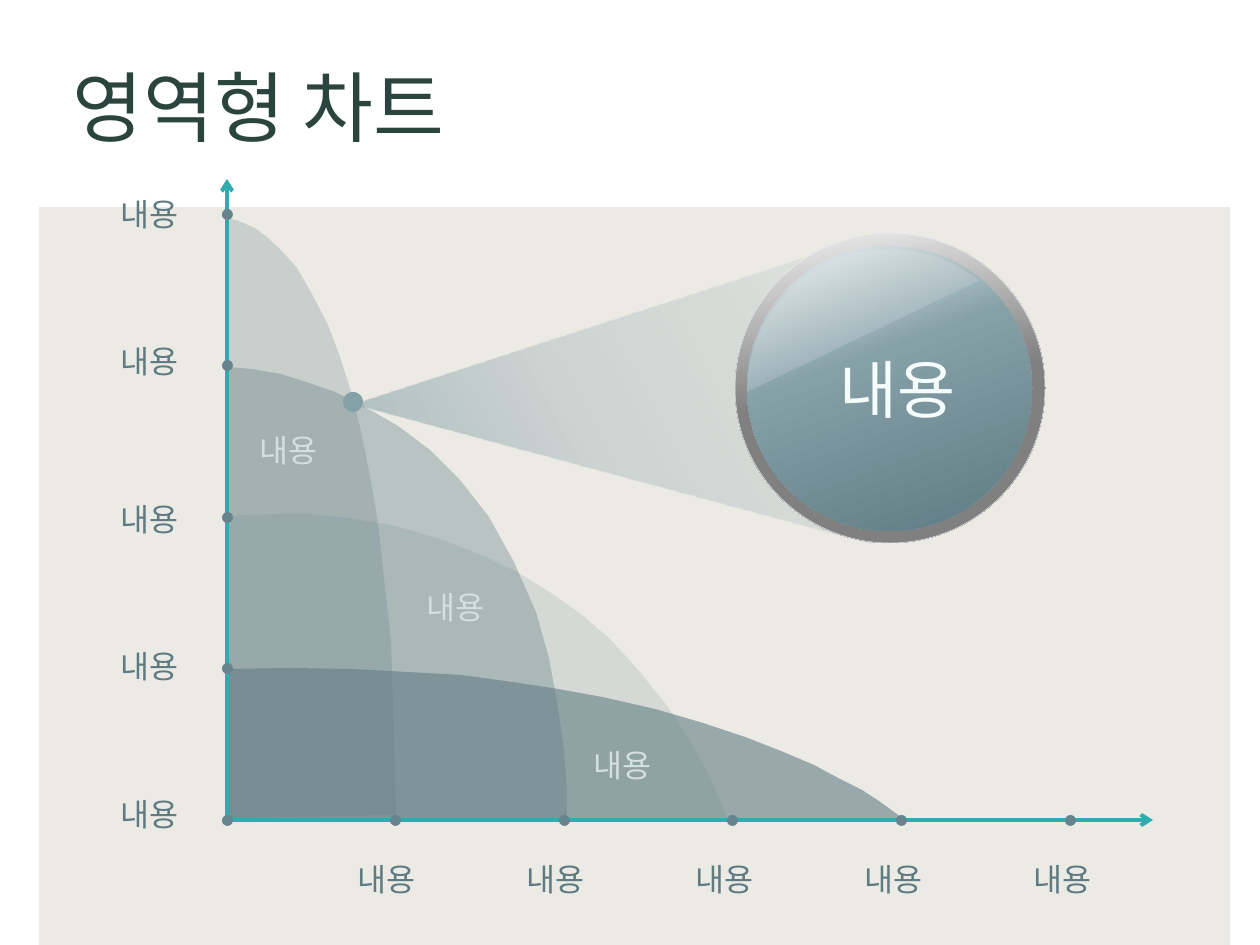
import math

from pptx import Presentation
from pptx import oxml, util as u
from pptx.dml.color import RGBColor
from pptx.enum import shapes, text
from pptx.oxml import ns

PX = 914400 / 126
FONT = "Arial"
WORD = "내용"
PANEL = RGBColor(0xE5, 0xE3, 0xDC)
TITLE = RGBColor(0x2C, 0x44, 0x3E)
SLATE = RGBColor(0x5E, 0x7B, 0x82)
DOT = RGBColor(0x65, 0x85, 0x8E)
TEAL = RGBColor(0x2F, 0xAC, 0xAF)
PALE = RGBColor(0xD5, 0xDF, 0xE1)
MIST = RGBColor(0x85, 0xA0, 0xA7)
SILVER = RGBColor(0xF2, 0xF2, 0xF2)
GRAY = RGBColor(0x80, 0x80, 0x80)
GLASS_TOP = RGBColor(0xF3, 0xF6, 0xF6)
GLASS_BASE = RGBColor(0x5E, 0x7B, 0x83)
GLARE = RGBColor(0xE7, 0xEC, 0xED)
LENS_TEXT = RGBColor(0xF5, 0xFC, 0xFC)


def paint(shape, stops, angle=0):
    shape.shadow.inherit = False
    shape.line.fill.background()
    colors = [
        f'<a:srgbClr val="{color}"><a:alpha val="{opacity * 1000}"/></a:srgbClr>'
        for _, color, opacity in stops
    ]
    if len(stops) == 1:
        xml = f"<a:solidFill {ns.nsdecls('a')}>{colors[0]}</a:solidFill>"
    else:
        steps = "".join(
            f'<a:gs pos="{stop[0] * 1000}">{color}</a:gs>'
            for stop, color in zip(stops, colors)
        )
        xml = (
            f'<a:gradFill {ns.nsdecls("a")} rotWithShape="1"><a:gsLst>{steps}</a:gsLst>'
            f'<a:lin ang="{angle * 60000}" scaled="0"/></a:gradFill>'
        )
    shape._element.spPr.insert(2, oxml.parse_xml(xml))


def label(left, top, width, height, size, color):
    box = slide.shapes.add_textbox(*[int(v * PX) for v in (left, top, width, height)])
    frame = box.text_frame
    frame.word_wrap = False
    frame.auto_size = text.MSO_AUTO_SIZE.SHAPE_TO_FIT_TEXT
    frame.vertical_anchor = text.MSO_ANCHOR.MIDDLE
    paragraph = frame.paragraphs[0]
    paragraph.text = WORD
    paragraph.font.size = u.Pt(size)
    paragraph.font.name = FONT
    paragraph.font.color.rgb = color


prs = Presentation()
prs.slide_width = int(1260 * PX)
prs.slide_height = int(945 * PX)
slide = prs.slides.add_slide(prs.slide_layouts[5])

title = slide.shapes.title
title.left, title.top, title.width, title.height = [int(v * PX) for v in (60, 42, 1134, 127)]
title.text_frame.text = "영역형 차트"
title.text_frame.vertical_anchor = text.MSO_ANCHOR.MIDDLE
heading = title.text_frame.paragraphs[0]
heading.alignment = text.PP_ALIGN.LEFT
heading.font.size = u.Pt(44)
heading.font.name = FONT
heading.font.color.rgb = TITLE

panel = slide.shapes.add_shape(
    shapes.MSO_SHAPE.RECTANGLE, *[int(v * PX) for v in (39, 207, 1191, 738)]
)
paint(panel, [(0, PANEL, 75)])

areas = [
    (15, [(229, 819), (227, 517), (241, 515), (277, 514), (310, 514), (348, 518),
          (391, 525), (437, 538), (484, 556), (517, 572), (548, 591), (581, 614),
          (611, 640), (640, 672), (668, 707), (694, 747), (712, 782), (728, 819)]),
    (35, [(227, 822), (228, 367), (251, 369), (281, 374), (306, 382), (335, 392),
          (365, 407), (398, 426), (430, 450), (460, 480), (489, 517), (514, 562),
          (536, 612), (549, 658), (558, 707), (564, 751), (567, 790), (567, 822)]),
    (24, [(227, 818), (228, 218), (239, 221), (255, 228), (267, 237), (282, 251),
          (297, 268), (312, 294), (328, 325), (339, 354), (350, 388), (360, 427),
          (369, 471), (378, 522), (384, 578), (391, 641), (394, 736), (396, 815)]),
    (58, [(227, 820), (227, 669), (290, 668), (350, 669), (407, 672), (461, 675),
          (512, 682), (558, 689), (602, 697), (655, 709), (703, 723), (745, 737),
          (781, 751), (814, 765), (840, 779), (862, 790), (879, 801), (905, 820)]),
]
for opacity, outline in areas:
    builder = slide.shapes.build_freeform(*outline[0], scale=PX)
    builder.add_line_segments(outline[1:])
    paint(builder.convert_to_shape(), [(0, SLATE, opacity)])

for ends in [(227, 179, 227, 821), (1153, 820, 229, 820)]:
    axis = slide.shapes.add_connector(
        shapes.MSO_CONNECTOR.STRAIGHT, *[int(v * PX) for v in ends]
    )
    axis.line.color.rgb = TEAL
    axis.line.width = u.Pt(2.25)
    axis.line._get_or_add_ln().append(
        oxml.parse_xml(f'<a:headEnd {ns.nsdecls("a")} type="arrow"/>')
    )
    axis._element.spPr.append(oxml.parse_xml(f'<a:effectLst {ns.nsdecls("a")}/>'))

ticks = [(222, 209 + i * 606 // 4) for i in range(5)]
ticks += [(222 + i * 843 // 5, 815) for i in range(1, 6)]
for left, top in ticks:
    tick = slide.shapes.add_shape(
        shapes.MSO_SHAPE.OVAL, *[int(v * PX) for v in (left, top, 11, 11)]
    )
    paint(tick, [(0, DOT, 100)])

for i in range(3):
    label(247 + i * 167, 425 + i * 315 // 2, 88, 50, 18, PALE)
for top in (189, 336, 494, 641, 789):
    label(108, top, 88, 50, 18, SLATE)
for i in range(5):
    label(345 + i * 169, 854, 88, 50, 18, SLATE)

beam_turn = 241.9
center_x, center_y = 675, 440
cos, sin = math.cos(math.radians(beam_turn)), math.sin(math.radians(beam_turn))
beam_points = []
for x, y in [(871, 543), (353, 403), (869, 236)]:
    dx, dy = x - center_x, y - center_y
    beam_points.append(
        (round(center_x + dx * cos + dy * sin), round(center_y - dx * sin + dy * cos))
    )
builder = slide.shapes.build_freeform(*beam_points[0], scale=PX)
builder.add_line_segments(beam_points[1:])
beam = builder.convert_to_shape()
beam.rotation = beam_turn
paint(beam, [(0, MIST, 75), (40, MIST, 30), (100, MIST, 0)], 90)

lens_parts = [
    (shapes.MSO_SHAPE.OVAL, (735, 233, 310, 310),
     [(0, SILVER, 100), (50, GRAY, 100), (100, GRAY, 100)], 80),
    (shapes.MSO_SHAPE.OVAL, (747, 246, 285, 285),
     [(0, GLASS_TOP, 100), (40, MIST, 100), (100, GLASS_BASE, 100)], 70),
    (shapes.MSO_SHAPE.CHORD, (747, 249, 285, 285), [(0, GLARE, 20)], 0),
    (shapes.MSO_SHAPE.OVAL, (343, 392, 20, 20), [(0, MIST, 100)], 0),
]
for preset, bounds, stops, angle in lens_parts:
    part = slide.shapes.add_shape(preset, *[int(v * PX) for v in bounds])
    paint(part, stops, angle)
    if preset == shapes.MSO_SHAPE.CHORD:
        part.rotation = 90
        part.adjustments[0] = 53.946
        part.adjustments[1] = 131.298
    elif bounds[2] == 310:
        part.line.color.rgb = SILVER
        part.line.width = u.Pt(0.25)

label(827, 344, 147, 89, 36, LENS_TEXT)

prs.save("out.pptx")
